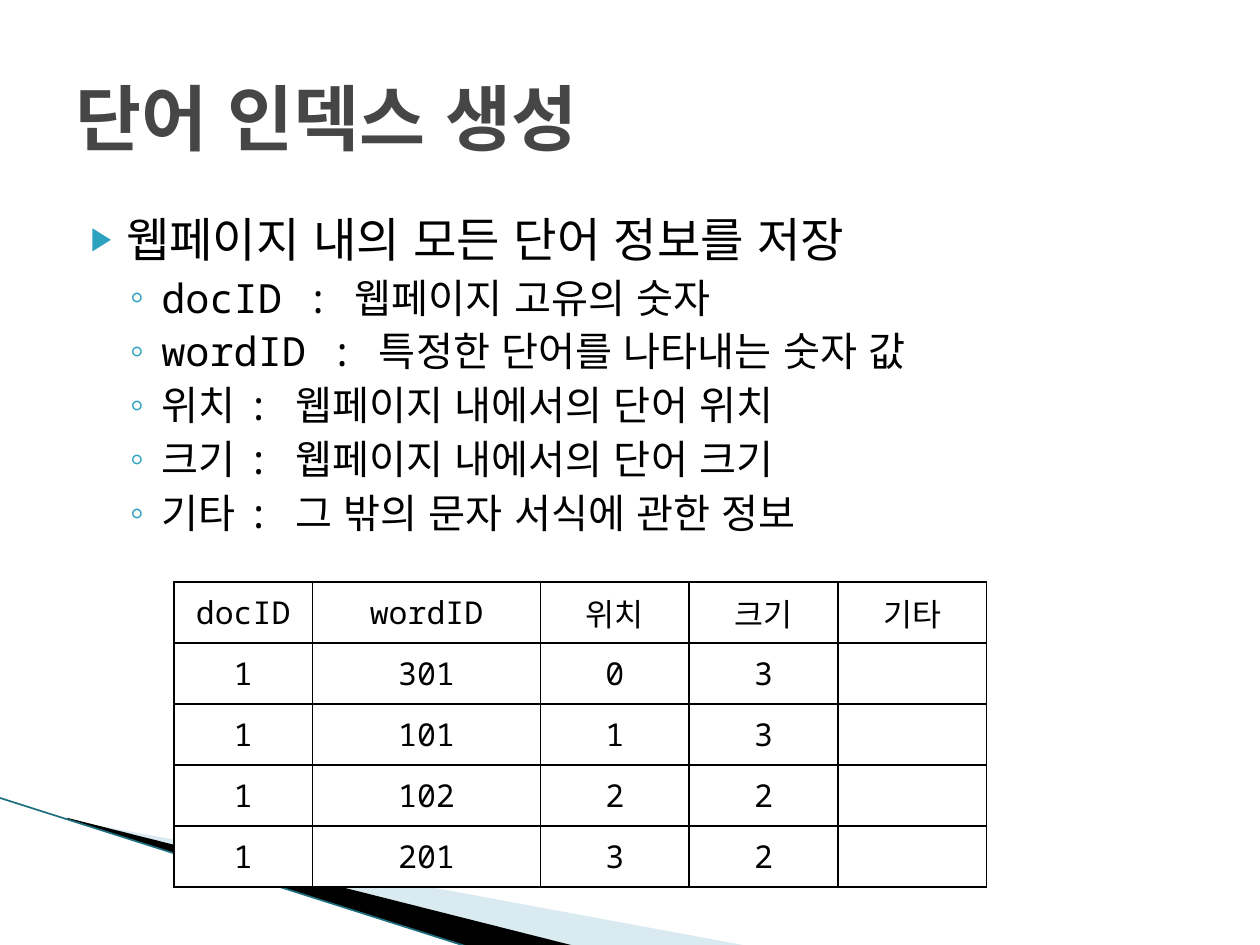
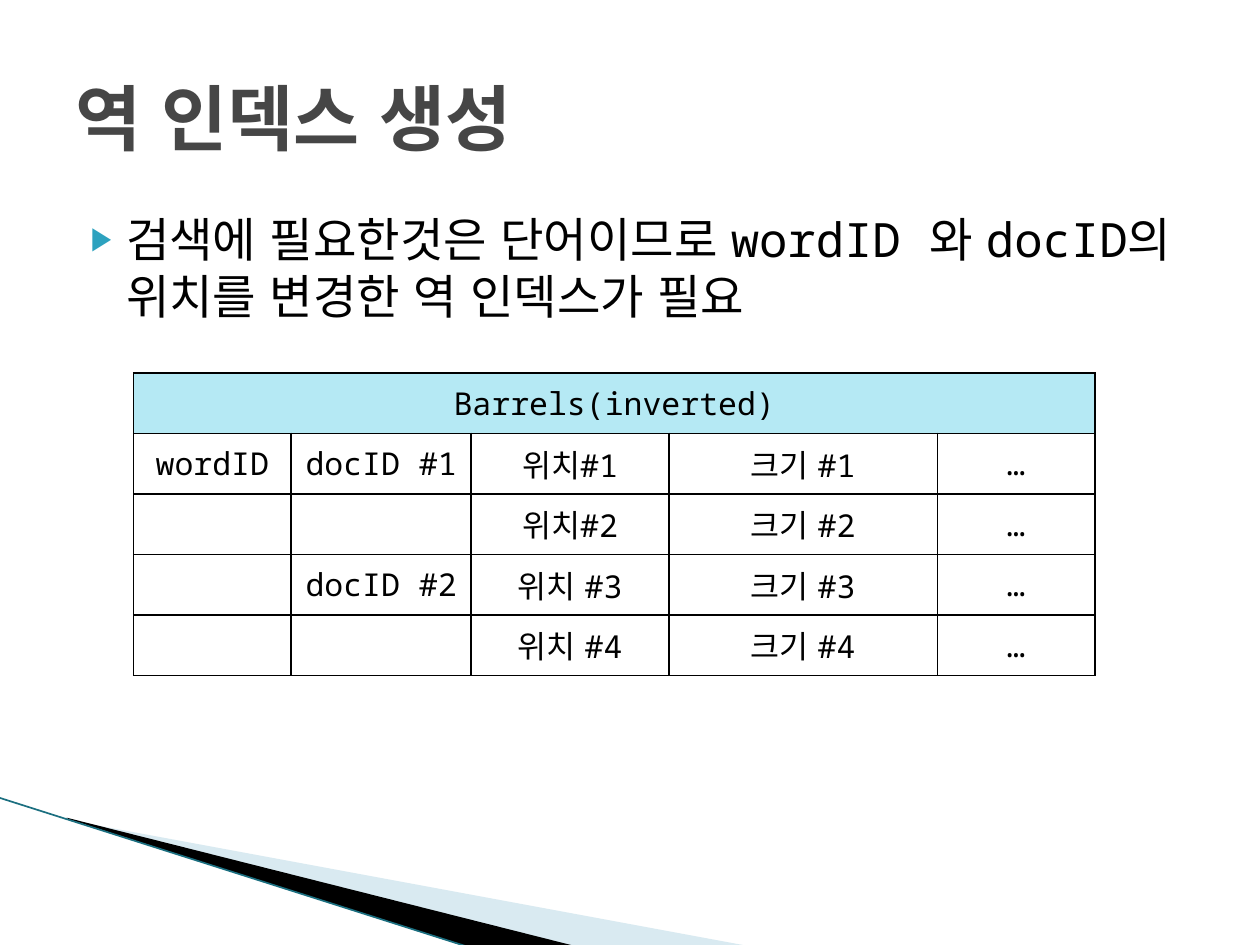
from lxml import etree
from pptx import Presentation
from pptx.dml.color import RGBColor
from pptx.enum.lang import MSO_LANGUAGE_ID
from pptx.enum.shapes import MSO_CONNECTOR
from pptx.enum.text import MSO_ANCHOR, MSO_AUTO_SIZE, PP_ALIGN
from pptx.oxml import parse_xml
from pptx.oxml.ns import nsdecls, qn
from pptx.util import Inches, Pt

FONT = "Noto Sans Mono"
BLACK, WHITE, GRAY = "000000", "FFFFFF", "464646"
ACCENT, PALE, EDGE, HEADER = "2DA2BF", "A0CBDC", "1B6F80", "B5E9F4"

# Per list level: text size, indent, hanging, space before, bullet, bullet size
LEVELS = [(27, 0.4, 0.28, 4, "▶", 68), (23, 0.68, 0.25, 3.2, "◦", 100)]

# Corner points and fill of the bottom bands
BANDS = [
    ([(0.55, 6.51), (5.95, 7.51), (4.56, 7.51), (0.55, 6.5)], PALE, 40),
    ([(0.53, 6.49), (4.57, 7.51), (3.72, 7.52), (0.54, 6.5)], BLACK, 100),
]

SLIDES = [
    {
        "title": "단어 인덱스 생성",
        "items": [
            (0, "웹페이지 내의 모든 단어 정보를 저장"),
            (1, "docID : 웹페이지 고유의 숫자"),
            (1, "wordID : 특정한 단어를 나타내는 숫자 값"),
            (1, "위치 : 웹페이지 내에서의 단어 위치"),
            (1, "크기 : 웹페이지 내에서의 단어 크기"),
            (1, "기타 : 그 밖의 문자 서식에 관한 정보"),
        ],
        "at": (1.38, 4.62),
        "height": 2.42,
        "cols": [1.1, 1.81, 1.18, 1.18, 1.18],
        "rows": [
            ["docID", "wordID", "위치", "크기", "기타"],
            ["1", "301", "0", "3", ""],
            ["1", "101", "1", "3", ""],
            ["1", "102", "2", "2", ""],
            ["1", "201", "3", "2", ""],
        ],
        "banner": False,
    },
    {
        "title": "역 인덱스 생성",
        "items": [
            (0, "검색에 필요한것은 단어이므로 wordID 와 docID의 위치를 변경한 역 인덱스가 필요"),
        ],
        "at": (1.06, 2.96),
        "height": 2.4,
        "cols": [1.25, 1.43, 1.57, 2.13, 1.25],
        "rows": [
            ["Barrels(inverted)", "", "", "", ""],
            ["wordID", "docID #1", "위치#1", "크기 #1", "…"],
            ["", "", "위치#2", "크기 #2", "…"],
            ["", "docID #2", "위치 #3", "크기 #3", "…"],
            ["", "", "위치 #4", "크기 #4", "…"],
        ],
        "banner": True,
    },
]


def paint(fill, color, opacity=100):
    fill.solid()
    fill.fore_color.rgb = RGBColor.from_string(color)
    if opacity < 100:
        clr = fill._xPr.find(".//" + qn("a:srgbClr"))
        etree.SubElement(clr, qn("a:alpha"), val=str(opacity * 1000))


def write(p, text, size=18, color=BLACK, bold=False, align=PP_ALIGN.LEFT):
    p.alignment = align
    r = p.add_run()
    r.text = text
    r.font.size = Pt(size)
    r.font.bold = bold
    r.font.name = FONT
    r.font.language_id = MSO_LANGUAGE_ID.KOREAN
    paint(r.font.fill, color)


prs = Presentation()
prs.slide_width, prs.slide_height = Inches(10), Inches(7.5)

for page in SLIDES:
    s = prs.slides.add_slide(prs.slide_layouts[1])
    paint(s.background.fill, WHITE)

    # Bottom bands
    for points, color, opacity in BANDS:
        corners = [(Inches(x), Inches(y)) for x, y in points]
        builder = s.shapes.build_freeform(*corners[0])
        builder.add_line_segments(corners[1:])
        band = builder.convert_to_shape()
        band.shadow.inherit = False
        band.line.fill.background()
        paint(band.fill, color, opacity)
    edge = s.shapes.add_connector(MSO_CONNECTOR.STRAIGHT, Inches(-0.01), Inches(6.33),
                                  Inches(3.73), Inches(7.52))
    edge.line.width = Pt(0.95)
    paint(edge.line.fill, EDGE)
    etree.SubElement(edge._element.spPr, qn("a:effectLst"))

    # Title and list
    title, body = s.shapes.title, s.placeholders[1]
    for sp, top, height, anchor in ((title, 0.3, 1.25, MSO_ANCHOR.MIDDLE),
                                    (body, 1.62, 4.95, MSO_ANCHOR.TOP)):
        sp.left, sp.top = Inches(0.5), Inches(top)
        sp.width, sp.height = Inches(9), Inches(height)
        tf = sp.text_frame
        tf.word_wrap = True
        tf.auto_size = MSO_AUTO_SIZE.NONE
        tf.vertical_anchor = anchor
    write(title.text_frame.paragraphs[0], page["title"], size=41, color=GRAY, bold=True)

    tf = body.text_frame
    for i, (level, text) in enumerate(page["items"]):
        size, indent, hanging, before, bullet, bullet_size = LEVELS[level]
        p = tf.add_paragraph() if i else tf.paragraphs[0]
        p.level = level
        p.space_before = Pt(before)
        write(p, text, size=size)
        pPr = p._p.get_or_add_pPr()
        pPr.set("marL", str(Inches(indent)))
        pPr.set("indent", str(-Inches(hanging)))
        clr = etree.SubElement(pPr, qn("a:buClr"))
        etree.SubElement(clr, qn("a:srgbClr"), val=ACCENT)
        etree.SubElement(pPr, qn("a:buSzPct"), val=str(bullet_size * 1000))
        etree.SubElement(pPr, qn("a:buChar"), char=bullet)

    # Index table
    rows, cols = page["rows"], page["cols"]
    left, top = page["at"]
    table = s.shapes.add_table(len(rows), len(cols), Inches(left), Inches(top),
                               Inches(sum(cols)), Inches(page["height"])).table
    table.first_row = table.horz_banding = False
    for column, width in zip(table.columns, cols):
        column.width = Inches(width)
    if page["banner"]:
        table.cell(0, 0).merge(table.cell(0, len(cols) - 1))
    for i, texts in enumerate(rows):
        for j, text in enumerate(texts):
            cell = table.cell(i, j)
            cell.vertical_anchor = MSO_ANCHOR.MIDDLE
            tcPr = cell._tc.get_or_add_tcPr()
            for side in ("lnL", "lnR", "lnT", "lnB"):
                tcPr.append(parse_xml(
                    f'<a:{side} {nsdecls("a")} w="{Pt(1)}"><a:solidFill>'
                    f'<a:srgbClr val="{BLACK}"/></a:solidFill></a:{side}>'))
            paint(cell.fill, HEADER if page["banner"] and i == 0 else WHITE)
            if text:
                write(cell.text_frame.paragraphs[0], text, align=PP_ALIGN.CENTER)

prs.save("out.pptx")
